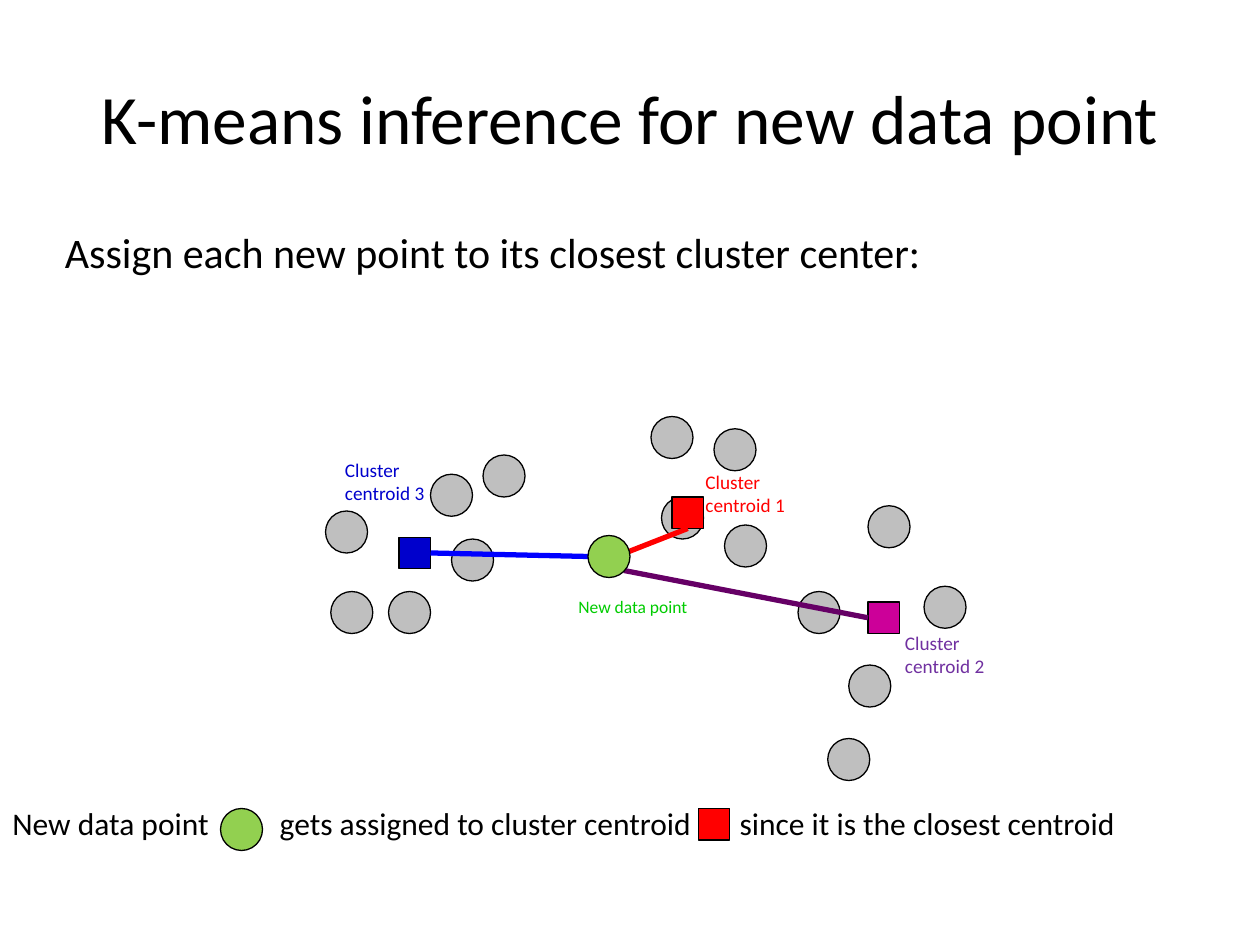
from pptx import Presentation
from pptx.dml.color import RGBColor
from pptx.enum.shapes import MSO_CONNECTOR, MSO_SHAPE
from pptx.enum.text import MSO_ANCHOR, PP_ALIGN
from pptx.oxml.ns import qn
from pptx.util import Pt
from lxml.etree import SubElement

DOT, BOX = 24, 18
GRAY, GREEN, RED, BLUE = "BFBFBF", "92D050", "FF0000", "0000CC"

dots = [
    (246, 271), (189, 338), (186, 292), (276, 260), (222, 338), (258, 308),
    (378, 284), (372, 238), (414, 300), (408, 245),
    (485, 380), (473, 422), (456, 338), (528, 335), (496, 289),
]
points = [(336, 306), (126, 462)]
centers = [(228, 307, BLUE), (384, 284, RED), (496, 344, "CC0099"), (399, 462, RED)]
lines = [
    (358.5, 315.5, 393, 302, RED),
    (356.5, 326, 496, 353, "660066"),
    (246, 316, 336, 318, "0000FF"),
]
texts = [
    ("K-means inference for new data point", (36, 21.6, 648, 90), 39.6, "000000",
     {"anchor": MSO_ANCHOR.MIDDLE, "align": PP_ALIGN.CENTER}),
    ("Assign each new point to its closest cluster center:",
     (30, 126, 642, 66), 24, "000000", {}),
    ("New data point", (323.5, 337, 80, 19.5), 10, "00CC00", {}),
    ("Cluster centroid 1", (396, 265, 60, 34), 11, RED, {}),
    ("Cluster centroid 2", (510, 357, 60, 34), 11, "7030A0", {}),
    ("Cluster centroid 3", (190, 258.5, 60, 34), 11, BLUE, {}),
    ("New data point\tgets assigned to cluster centroid\tsince it is the closest centroid",
     (0, 456, 720, 29), 18, "000000", {"tabs": (152.8, 415.6)}),
]


def paint(code):
    return RGBColor.from_string(code)


def put(obj, vals):
    for name, val in vals.items():
        setattr(obj, name, val)


def mark(kind, left, top, size, color):
    shape = slide.shapes.add_shape(kind, Pt(left), Pt(top), Pt(size), Pt(size))
    shape.shadow.inherit = False
    shape.fill.solid()
    shape.fill.fore_color.rgb = paint(color)
    shape.line.color.rgb = paint("000000")
    shape.line.width = Pt(0.75)


def link(x1, y1, x2, y2, color):
    line = slide.shapes.add_connector(MSO_CONNECTOR.STRAIGHT, Pt(x1), Pt(y1), Pt(x2), Pt(y2))
    line.line.color.rgb = paint(color)
    line.line.width = Pt(3)
    SubElement(line._element.spPr, qn("a:effectLst"))


def write(text, area, size, color, form):
    frame = slide.shapes.add_textbox(*map(Pt, area)).text_frame
    put(frame, {"word_wrap": True, "vertical_anchor": form.get("anchor", MSO_ANCHOR.TOP)})
    para = frame.paragraphs[0]
    para.alignment = form.get("align", PP_ALIGN.LEFT)
    if "tabs" in form:
        stops = SubElement(para._p.get_or_add_pPr(), qn("a:tabLst"))
        for pos in form["tabs"]:
            SubElement(stops, qn("a:tab"), pos=str(int(Pt(pos))), algn="l")
    run = para.add_run()
    run.text = text
    put(run.font, {"name": "Calibri", "size": Pt(size)})
    run.font.color.rgb = paint(color)


deck = Presentation()
put(deck, {"slide_width": Pt(720), "slide_height": Pt(540)})
slide = deck.slides.add_slide(deck.slide_layouts[6])

for left, top in dots:
    mark(MSO_SHAPE.OVAL, left, top, DOT, GRAY)
for left, top, color in centers:
    mark(MSO_SHAPE.RECTANGLE, left, top, BOX, color)
for line in lines:
    link(*line)
for left, top in points:
    mark(MSO_SHAPE.OVAL, left, top, DOT, GREEN)
for item in texts:
    write(*item)

deck.save("out.pptx")
